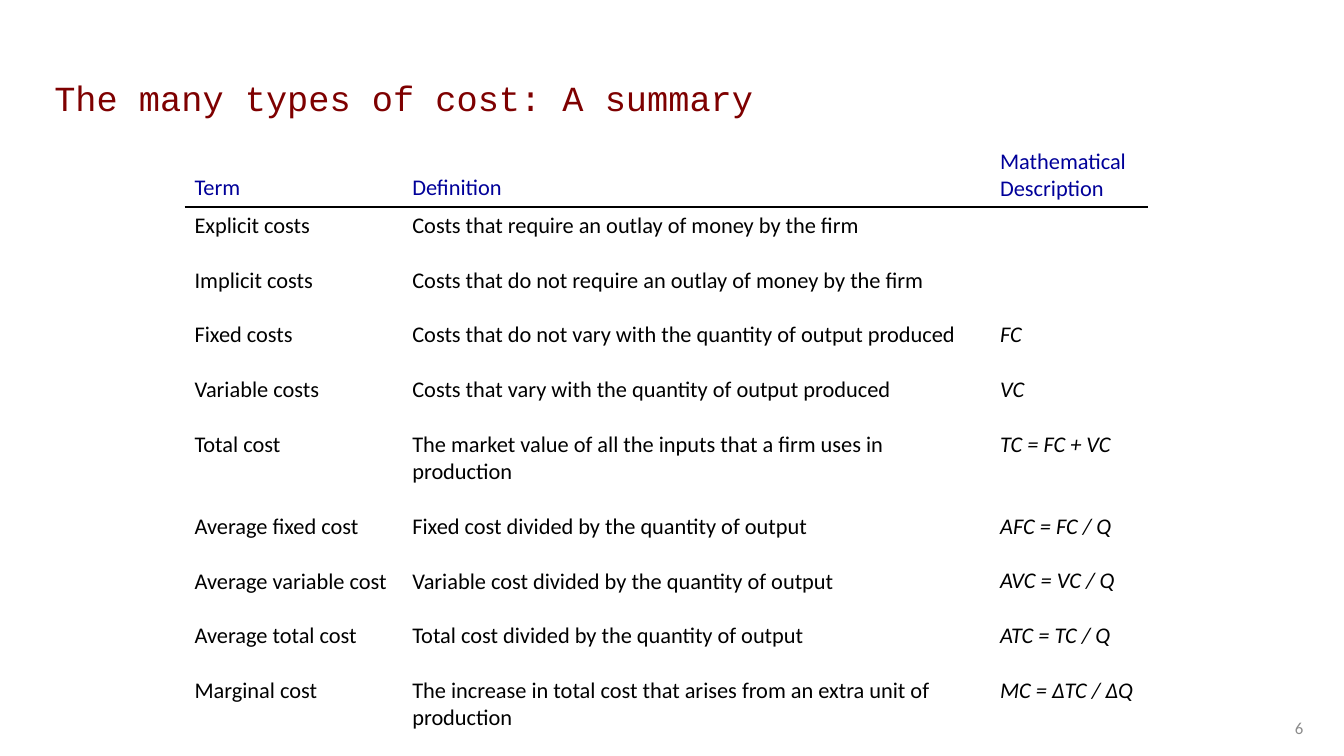
import pptx
import pptx.util
import pptx.dml.color
import pptx.enum.text
import pptx.oxml
import pptx.oxml.ns

TITLE = "The many types of cost: A summary"
PAGE = "6"
HEADS = [["Term"], ["Definition"], ["Mathematical", "Description"]]
COSTS = [
    ("Explicit costs", "Costs that require an outlay of money by the firm", "", 1),
    ("Implicit costs", "Costs that do not require an outlay of money by the firm", "", 1),
    ("Fixed costs", "Costs that do not vary with the quantity of output produced", "FC", 1),
    ("Variable costs", "Costs that vary with the quantity of output produced", "VC", 1),
    ("Total cost", "The market value of all the inputs that a firm uses in production", "TC = FC + VC", 2),
    ("Average fixed cost", "Fixed cost divided by the quantity of output", "AFC = FC / Q", 1),
    ("Average variable cost", "Variable cost divided by the quantity of output", "AVC = VC / Q", 1),
    ("Average total cost", "Total cost divided by the quantity of output", "ATC = TC / Q", 1),
    ("Marginal cost", "The increase in total cost that arises from an extra unit of production", "MC = ΔTC / ΔQ", 2),
]
HUES = {"title": "7E0000", "head": "000099", "body": "000000", "page": "8C8C8C", "rule": "000000"}
COLS = [2.16, 5.83, 1.57]
ROWS = [0.63, 5.17]
LINE = 19.53
PAD = 0.05
PLAIN = "{2D5ABB26-0587-4C30-8999-92F81FD0307C}"

Inches, Pt = pptx.util.Inches, pptx.util.Pt
ANCHOR = pptx.enum.text.MSO_ANCHOR
ALIGN = pptx.enum.text.PP_ALIGN


def write(para, text, size, hue, font="Calibri", slant=None):
    run = para.add_run()
    run.text = text
    run.font.size = Pt(size)
    run.font.name = font
    run.font.italic = slant
    run.font.color.rgb = pptx.dml.color.RGBColor.from_string(HUES[hue])


def label(slide, box, anchor):
    frame = slide.shapes.add_textbox(*map(Inches, box)).text_frame
    frame.word_wrap = True
    frame.vertical_anchor = anchor
    return frame.paragraphs[0]


def rule(cell, side):
    line = pptx.oxml.parse_xml(
        f'<a:{side} {pptx.oxml.ns.nsdecls("a")} w="12700"><a:solidFill>'
        f'<a:srgbClr val="{HUES["rule"]}"/></a:solidFill></a:{side}>')
    cell._tc.get_or_add_tcPr().insert(0, line)


def fill(cell, items, hue, slant=None):
    frame = cell.text_frame
    for i, (text, gap) in enumerate(items):
        para = frame.add_paragraph() if i else frame.paragraphs[0]
        para.space_before = Pt(gap * LINE if i else 0)
        write(para, text, 16, hue, slant=slant)
    skip = items[0][1]
    cell.margin_top = Inches(PAD + skip * LINE / 72)
    cell.margin_bottom = Inches(PAD)
    cell.fill.background()


def stack(col):
    items, gap = [], 0
    for cost in COSTS:
        if cost[col]:
            items.append((cost[col], gap))
            gap = 0
        else:
            gap += 1
        gap += 1 if col == 1 else cost[3]
    return items


def main():
    deck = pptx.Presentation()
    deck.slide_width, deck.slide_height = Inches(13.33), Inches(7.5)
    slide = deck.slides.add_slide(deck.slide_layouts[6])

    para = label(slide, (0.44, 0.75, 12.89, 0.58), ANCHOR.TOP)
    para.line_spacing = 0.9
    write(para, TITLE, 25.2, "title", "Courier New")

    para = label(slide, (12.44, 7.02, 0.89, 0.4), ANCHOR.MIDDLE)
    para.alignment = ALIGN.CENTER
    write(para, PAGE, 12, "page")

    box = map(Inches, (1.83, 1.42, sum(COLS), sum(ROWS)))
    grid = slide.shapes.add_table(len(ROWS), len(COLS), *box).table
    grid.first_row = grid.horz_banding = False
    grid._tbl.tblPr.find(pptx.oxml.ns.qn("a:tableStyleId")).text = PLAIN
    for row, tall in zip(grid.rows, ROWS):
        row.height = Inches(tall)
    for col, wide in enumerate(COLS):
        grid.columns[col].width = Inches(wide)
        head, body = grid.cell(0, col), grid.cell(1, col)
        fill(head, [(text, 0) for text in HEADS[col]], "head")
        head.vertical_anchor = ANCHOR.BOTTOM
        fill(body, stack(col), "body", True if col == 2 else None)
        rule(head, "lnB")
        rule(body, "lnT")
    deck.save("out.pptx")


if __name__ == "__main__":
    main()
